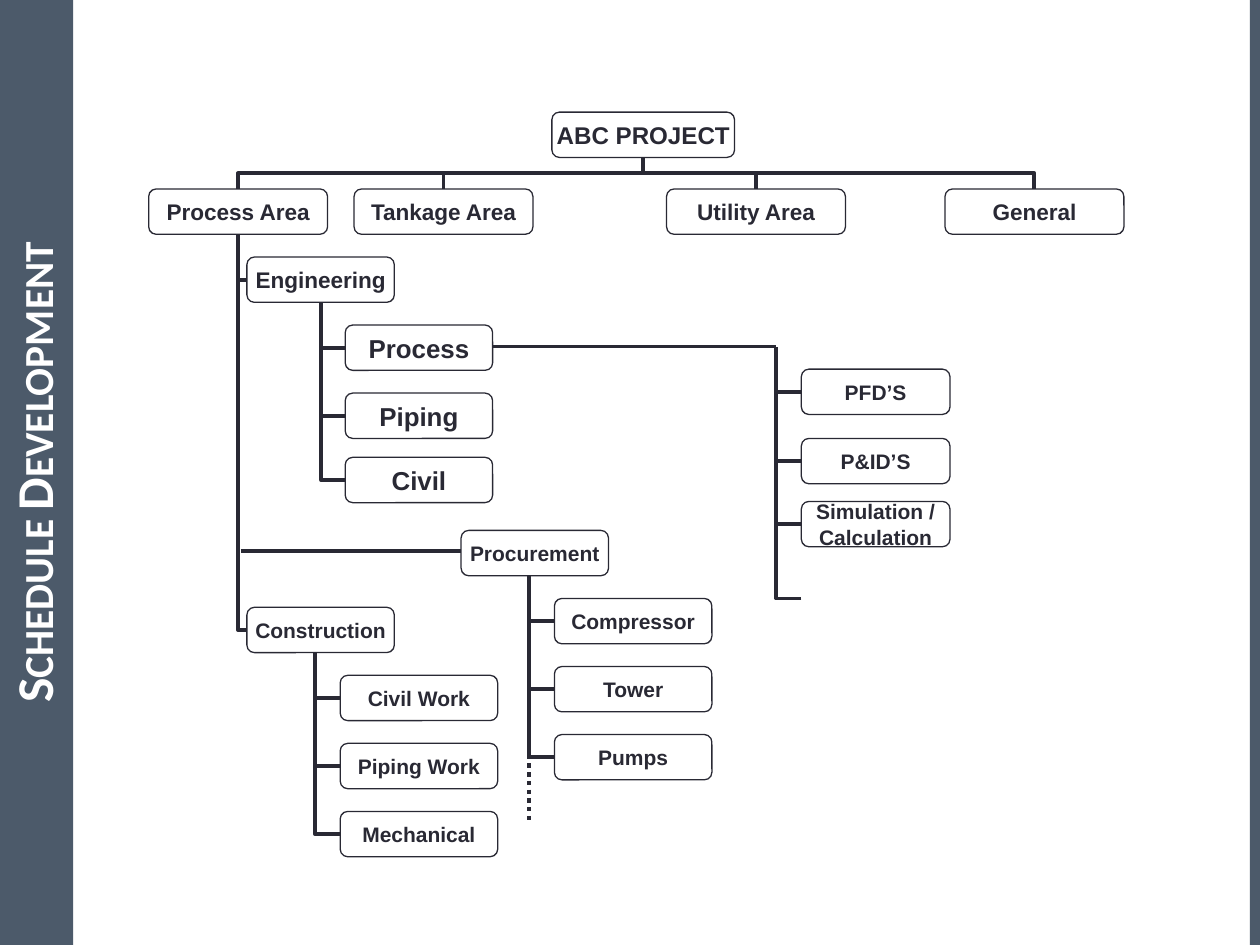
from lxml.etree import SubElement
from pptx import Presentation
from pptx.dml.color import RGBColor
from pptx.enum.dml import MSO_LINE
from pptx.enum.shapes import MSO_CONNECTOR as LINK, MSO_SHAPE as SHAPE
from pptx.enum.text import MSO_ANCHOR, MSO_AUTO_SIZE, PP_ALIGN
from pptx.oxml.ns import qn
from pptx.util import Inches, Pt

INK, SLATE, WHITE = "292934", "4C5A6A", "FFFFFF"
TALL = 0.36
MID = TALL / 2

ROOT = ("ABC PROJECT", 4.38, 0.89, 1.45, 13.8)
# text, left, top, width, text size
AREAS = [(text, left, 1.5, 1.42, 12.9) for text, left in [
    ("Process Area", 1.18), ("Tankage Area", 2.81),
    ("Utility Area", 5.29), ("General", 7.5)]]
# trunk x, trunk top, box left, box width, text size, (text, box top) pairs
BRANCHES = [
    (1.89, 1.86, 1.96, 1.17, 12.9, [("Engineering", 2.04)]),
    (1.89, 1.86, 1.96, 1.17, 12, [("Construction", 4.82)]),
    (2.55, 2.4, 2.74, 1.17, 14.8,
     [("Process", 2.58), ("Piping", 3.12), ("Civil", 3.63)]),
    (2.5, 5.18, 2.7, 1.25, 12,
     [("Civil Work", 5.36), ("Piping Work", 5.9), ("Mechanical", 6.44)]),
    (4.2, 4.57, 4.4, 1.25, 12,
     [("Compressor", 4.75), ("Tower", 5.29), ("Pumps", 5.83)]),
    (6.16, 2.75, 6.36, 1.18, 12,
     [("PFD’S", 2.93), ("P&ID’S", 3.48),
      ("Simulation /\nCalculation", 3.98), (None, 4.57)]),
]
PROCUREMENT = ("Procurement", 3.66, 4.21, 1.17, 12)
# x1, y1, x2, y2
LINES = [(1.91, 4.37, 3.66, 4.37), (3.91, 2.75, 6.16, 2.75)]
DOTS = (4.2, 5.99, 4.2, 6.53)
BARS = [(0, 0.58), (9.92, 0.08)]

deck = Presentation()
deck.slide_width, deck.slide_height = Inches(10), Inches(7.5)
slide = deck.slides.add_slide(deck.slide_layouts[5])
shapes = slide.shapes


def tint(code):
    return RGBColor.from_string(code)


def style(frame, size, name, code):
    frame.vertical_anchor = MSO_ANCHOR.MIDDLE
    for para in frame.paragraphs:
        para.alignment = PP_ALIGN.CENTER
        for run in para.runs:
            font = run.font
            font.size, font.name, font.bold = Pt(size), name, True
            font.color.rgb = tint(code)


def link(kind, x1, y1, x2, y2, width=2.25):
    line = shapes.add_connector(kind, *map(Inches, (x1, y1, x2, y2)))
    line.line.color.rgb = tint(INK)
    line.line.width = Pt(width)
    SubElement(line._element.spPr, qn("a:effectLst"))
    return line


def elbow(x, y, x2, y2):
    """Draw one corner: down from (x, y), then right to (x2, y2)."""
    props = link(LINK.ELBOW, x, y, x2, y2)._element.spPr
    props.find(qn("a:prstGeom")).set("prst", "bentConnector2")
    props.find(qn("a:xfrm")).set("rot", str(180 * 60000))


def fork(x, y, x2, y2):
    """Draw down, across and down again, as a turned elbow."""
    mid_x, mid_y = (x + x2) / 2, (y + y2) / 2
    half_w, half_h = (y2 - y) / 2, abs(x2 - x) / 2
    turn = 90
    if x2 > x:
        turn, half_w = 270, -half_w
    line = link(LINK.ELBOW, mid_x - half_w, mid_y - half_h,
                mid_x + half_w, mid_y + half_h)
    line._element.spPr.find(qn("a:xfrm")).set("rot", str(turn * 60000))


def box(text, left, top, width, size):
    item = shapes.add_shape(SHAPE.ROUNDED_RECTANGLE,
                            *map(Inches, (left, top, width, TALL)))
    item.shadow.inherit = False
    item.fill.background()
    item.line.color.rgb = tint(INK)
    item.line.width = Pt(0.75)
    frame = item.text_frame
    frame.margin_left = frame.margin_right = 0
    frame.margin_top = frame.margin_bottom = 0
    frame.word_wrap = False
    frame.text = text
    style(frame, size, "Arial", INK)


for left, width in BARS:
    bar = shapes.add_shape(SHAPE.RECTANGLE, Inches(left), 0,
                           Inches(width), deck.slide_height)
    bar.shadow.inherit = False
    bar.fill.solid()
    bar.fill.fore_color.rgb = tint(SLATE)
    bar.line.fill.background()

_, left, top, width, _ = ROOT
for area in AREAS:
    fork(left + width / 2, top + TALL, area[1] + area[3] / 2, area[2])
    box(*area)
box(*ROOT)

for trunk, start, left, width, size, items in BRANCHES:
    for text, top in items:
        elbow(trunk, start, left, top + MID)
        if text:
            box(text, left, top, width, size)
box(*PROCUREMENT)

for ends in LINES:
    link(LINK.STRAIGHT, *ends)
link(LINK.STRAIGHT, *DOTS, width=2.5).line.dash_style = MSO_LINE.ROUND_DOT

title = shapes.title
title.left, title.top = Inches(-3.46), Inches(3.47)
title.width, title.height = Inches(7.5), Inches(0.56)
title.rotation = 270
frame = title.text_frame
frame.text = "Schedule Development"
frame.auto_size = MSO_AUTO_SIZE.NONE
style(frame, 29.5, "Calibri", WHITE)
para = frame.paragraphs[0]
para.line_spacing = 0.9
para.runs[0].font._element.set("cap", "small")
shapes._spTree.append(title._element)  # in front of the side bar

deck.save("out.pptx")
